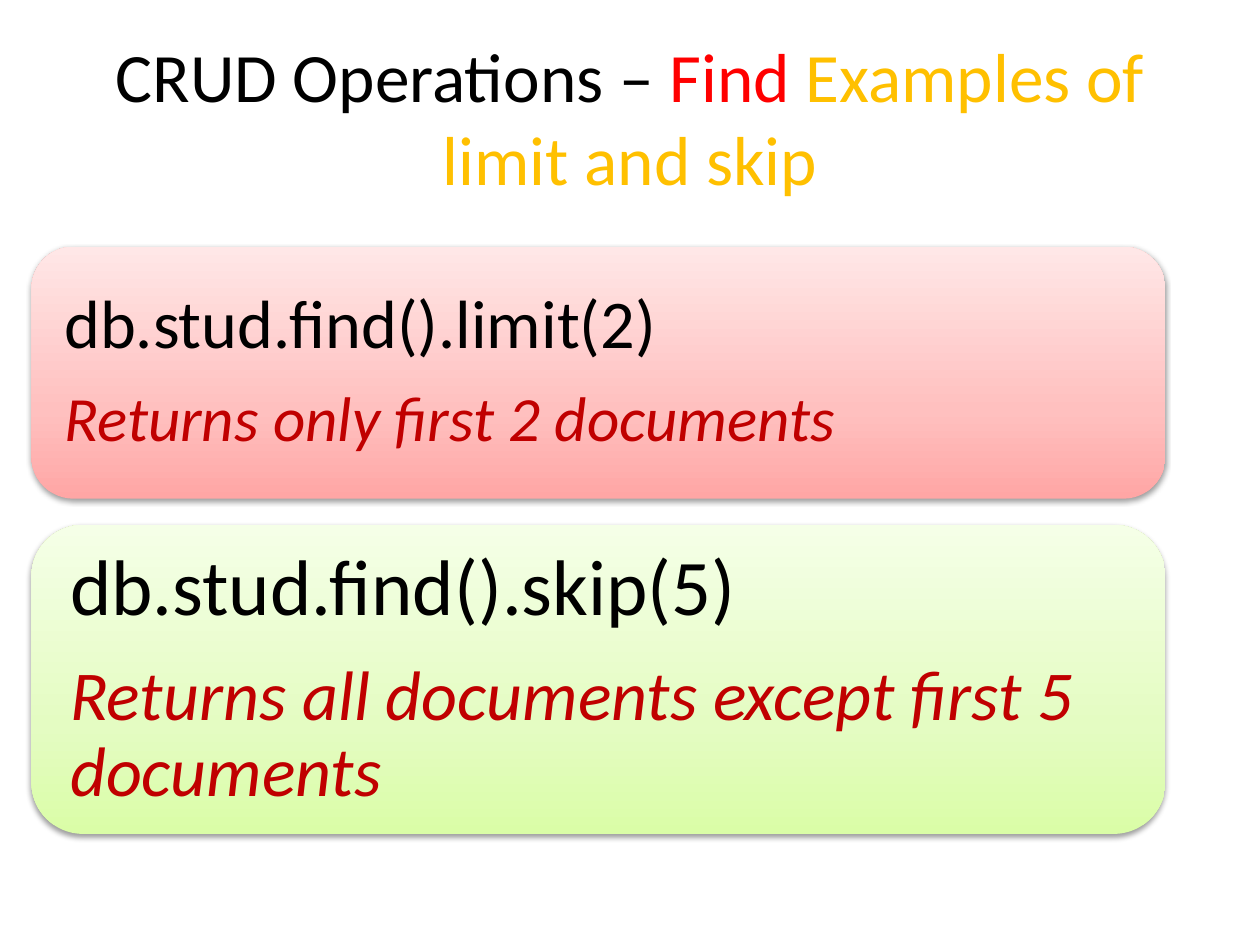
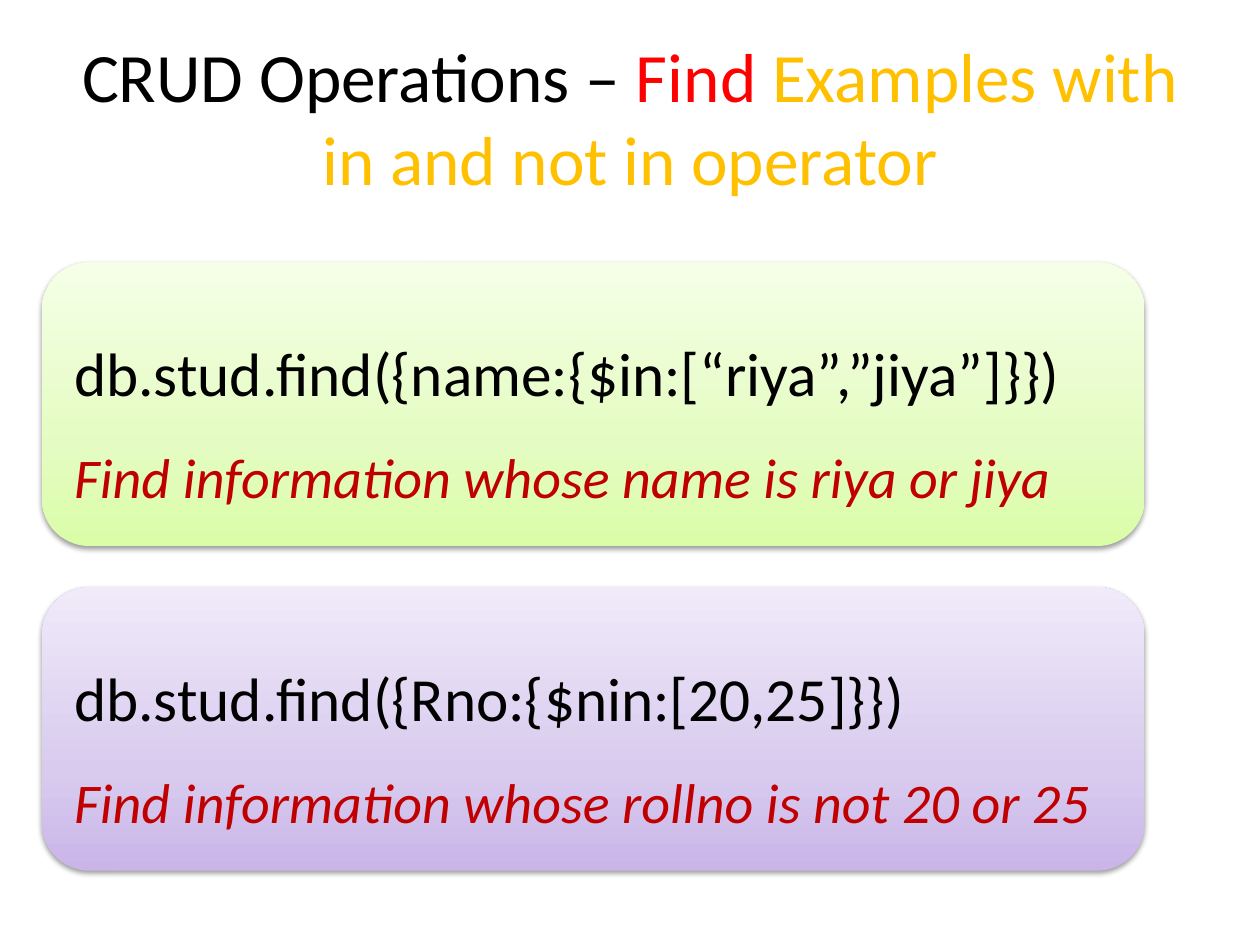
"""Build two slides of find examples for a document database."""
from copy import deepcopy
from dataclasses import dataclass

from lxml.etree import SubElement
from pptx import Presentation
from pptx.dml.color import RGBColor
from pptx.enum.shapes import MSO_SHAPE
from pptx.enum.text import MSO_ANCHOR, MSO_AUTO_SIZE, PP_ALIGN
from pptx.oxml.ns import qn
from pptx.util import Pt

FONT = "Calibri"
COLORS = {
    "black": "000000",
    "find": "FF0000",
    "topic": "FFC000",
    "result": "C00000",
}
GRADIENTS = {
    "red": ("FFA6A5", "FFC0BF", "FFE7E7"),
    "green": ("DAFDA7", "E4FCC2", "F5FFE7"),
    "purple": ("C9B5E8", "D8CBEE", "F0EAF9"),
}
STOPS = (0, 0.35, 1)
SPACE_RATIO = 0.35
INSET_RATIO = 0.3
TITLE_SIZE = 39.6


@dataclass(frozen=True)
class Panel:
    top: float
    height: float
    gradient: str
    command: str
    result: str
    command_size: float
    result_size: float


@dataclass(frozen=True)
class Lesson:
    topic: str
    left: float
    width: float
    line_spacing: float
    command_gap: float
    panels: tuple[Panel, ...]


LESSONS = (
    Lesson("Examples of limit and skip", 18, 648, 0.9, SPACE_RATIO, (
        Panel(141, 144, "red", "db.stud.find().limit(2)",
              "Returns only first 2 documents", 39, 36),
        Panel(300, 176.5, "green", "db.stud.find().skip(5)",
              "Returns all documents except first 5 documents", 45, 40),
    )),
    Lesson("Examples with in and not in operator", 24, 630, 1.5, 0, (
        Panel(150, 162, "green", "db.stud.find({name:{$in:[“riya”,”jiya”]}})",
              "Find information whose name is riya or jiya", 35, 32),
        Panel(335.5, 162, "purple", "db.stud.find({Rno:{$nin:[20,25]}})",
              "Find information whose rollno is not 20 or 25", 35, 32),
    )),
)


def add_span(para, text: str, *, size: float, color: str, italic: bool = False) -> None:
    span = para.add_run()
    span.text = text
    span.font.name = FONT
    span.font.size = Pt(size)
    span.font.italic = italic
    span.font.color.rgb = RGBColor.from_string(COLORS[color])


def add_title(page, topic: str) -> None:
    title = page.shapes.title
    title.left, title.top, title.width, title.height = Pt(36), Pt(21.6), Pt(648), Pt(90)
    frame = title.text_frame
    frame.auto_size = MSO_AUTO_SIZE.NONE
    frame.vertical_anchor = MSO_ANCHOR.MIDDLE
    para = frame.paragraphs[0]
    para.alignment = PP_ALIGN.CENTER
    for text, color in (("CRUD Operations – ", "black"), ("Find ", "find"), (topic, "topic")):
        add_span(para, text, size=TITLE_SIZE, color=color)


def fill_gradient(box, gradient: str) -> None:
    box.fill.gradient()
    box.fill.gradient_angle = 90
    stop_list = box.element.spPr.find(".//" + qn("a:gsLst"))
    stop_list.insert(1, deepcopy(stop_list[0]))
    for stop, position, color in zip(box.fill.gradient_stops, STOPS, GRADIENTS[gradient]):
        stop.position = position
        stop.color.rgb = RGBColor.from_string(color)


def add_shadow(box) -> None:
    box.shadow.inherit = False
    effects = box.element.spPr.find(qn("a:effectLst"))
    shadow = SubElement(effects, qn("a:outerShdw"), blurRad=str(Pt(3.1)),
                        dist=str(Pt(1.6)), dir="5400000", rotWithShape="0")
    color = SubElement(shadow, qn("a:srgbClr"), val=COLORS["black"])
    SubElement(color, qn("a:alpha"), val="38000")


def add_panel(page, lesson: Lesson, panel: Panel) -> None:
    box = page.shapes.add_shape(MSO_SHAPE.ROUNDED_RECTANGLE, Pt(lesson.left), Pt(panel.top),
                                Pt(lesson.width), Pt(panel.height))
    fill_gradient(box, panel.gradient)
    box.line.fill.background()
    add_shadow(box)
    frame = box.text_frame
    frame.word_wrap = True
    frame.vertical_anchor = MSO_ANCHOR.MIDDLE
    inset = Pt(INSET_RATIO * panel.command_size)
    frame.margin_left = frame.margin_right = inset
    frame.margin_top = frame.margin_bottom = inset
    command, result = frame.paragraphs[0], frame.add_paragraph()
    for para in (command, result):
        para.alignment = PP_ALIGN.LEFT
        para.line_spacing = lesson.line_spacing
    command.space_after = Pt(lesson.command_gap * panel.command_size)
    result.space_after = Pt(SPACE_RATIO * panel.result_size)
    add_span(command, panel.command, size=panel.command_size, color="black")
    add_span(result, panel.result, size=panel.result_size, color="result", italic=True)


def main() -> None:
    deck = Presentation()
    deck.slide_width, deck.slide_height = Pt(720), Pt(540)
    for lesson in LESSONS:
        page = deck.slides.add_slide(deck.slide_layouts.get_by_name("Title Only"))
        add_title(page, lesson.topic)
        for panel in lesson.panels:
            add_panel(page, lesson, panel)
    deck.save("out.pptx")


if __name__ == "__main__":
    main()
